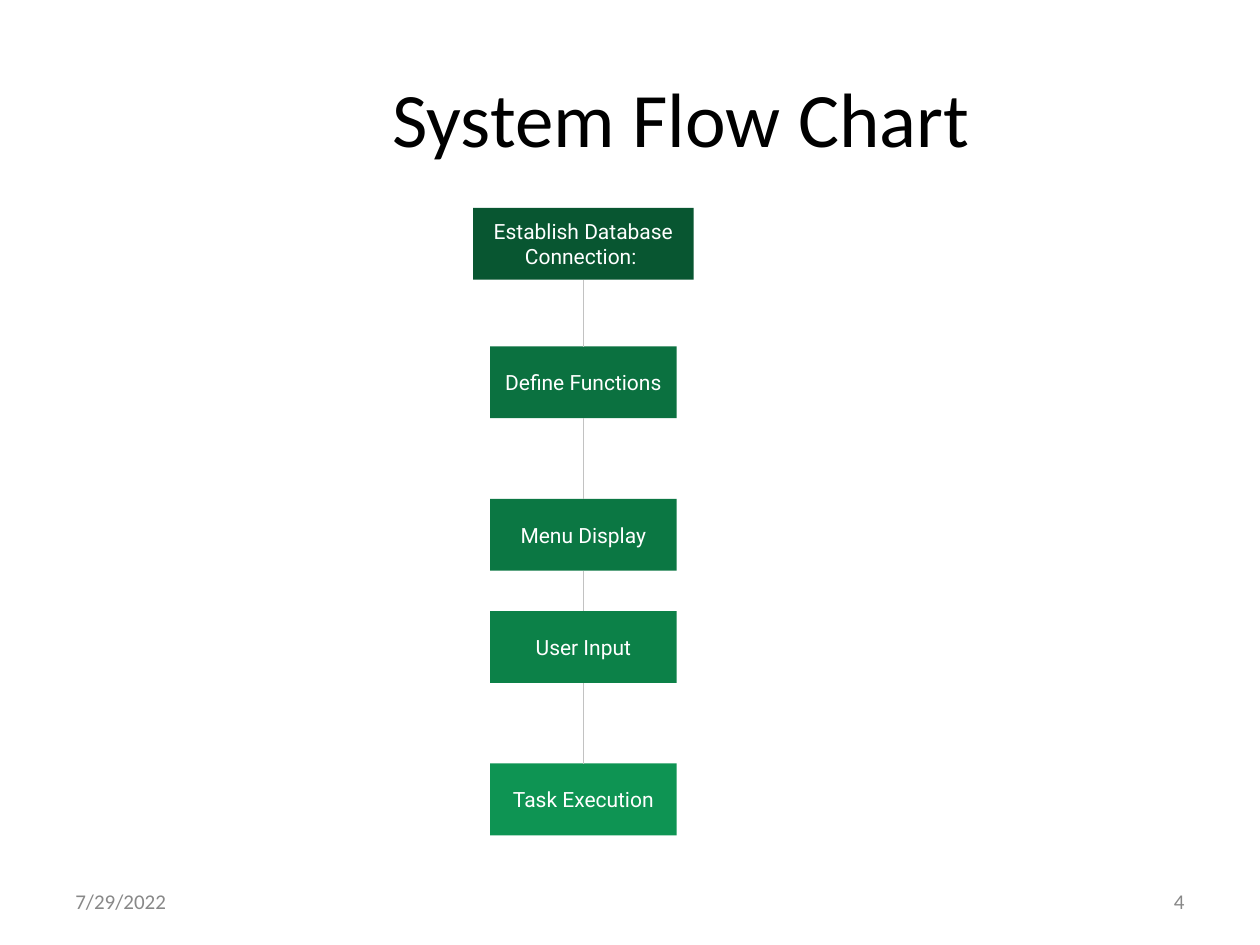
from itertools import pairwise

from lxml.etree import SubElement
from pptx import Presentation
from pptx.dml.color import RGBColor
from pptx.enum.shapes import MSO_CONNECTOR, MSO_SHAPE
from pptx.enum.text import MSO_ANCHOR, PP_ALIGN
from pptx.oxml.ns import qn
from pptx.util import Inches, Pt

MID = 4.63
STEPS = [
    ("Establish Database Connection: ", 1.65, 1.75, "085631"),
    ("Define Functions", 2.75, 1.48, "0B7140"),
    ("Menu Display", 3.96, 1.48, "0B7743"),
    ("User Input", 4.85, 1.48, "0C8148"),
    ("Task Execution", 6.06, 1.48, "0E9453"),
]


def tint(code):
    """Turn a hex string into a colour."""
    return RGBColor.from_string(code)


def write(shape, text, font="Calibri", size=12, color="888888",
          align=PP_ALIGN.LEFT, left=0.1, pad=0.05):
    """Set the text of a shape; left is the left inset, pad the top and bottom."""
    frame = shape.text_frame
    frame.word_wrap = True
    frame.vertical_anchor = MSO_ANCHOR.MIDDLE
    frame.margin_left, frame.margin_right = Inches(left), Inches(0.1)
    frame.margin_top = frame.margin_bottom = Inches(pad)
    para = frame.paragraphs[0]
    para.alignment = align
    run = para.add_run()
    run.text = text
    run.font.name, run.font.size = font, Pt(size)
    run.font.color.rgb = tint(color)


class Flow:
    """Holds the chart style and the current slide."""

    font = "Roboto"
    ink = "FFFFFF"
    wire = "C2C2C2"
    high = 0.57

    def __init__(self, slide):
        self.slide = slide

    def label(self, text, x, y, w, h, **style):
        area = [Inches(n) for n in (x, y, w, h)]
        write(self.slide.shapes.add_textbox(*area), text, **style)

    def step(self, text, top, wide, fill):
        box = self.slide.shapes.add_shape(
            MSO_SHAPE.RECTANGLE, Inches(MID - wide / 2), Inches(top),
            Inches(wide), Inches(self.high))
        box.shadow.inherit = False
        box.fill.solid()
        box.fill.fore_color.rgb = tint(fill)
        box.line.fill.background()
        write(box, text, font=self.font, color=self.ink,
              align=PP_ALIGN.CENTER, pad=0.1)
        return box

    def link(self, upper, lower):
        line = self.slide.shapes.add_connector(MSO_CONNECTOR.STRAIGHT, 0, 0, 0, 0)
        line.begin_connect(lower, 0)
        line.end_connect(upper, 2)
        line.line.color.rgb = tint(self.wire)
        line.line.width = Pt(0.75)
        SubElement(line._element.spPr, qn("a:effectLst"))


def main():
    deck = Presentation()
    deck.slide_width, deck.slide_height = Inches(10), Inches(7.5)
    flow = Flow(deck.slides.add_slide(deck.slide_layouts[6]))

    flow.label("System Flow Chart", 0.5, 0.3, 9, 1.25, size=44,
               color="000000", align=PP_ALIGN.CENTER, left=0.91)
    flow.label("7/29/2022", 0.5, 6.95, 2.33, 0.4)
    flow.label("4", 7.17, 6.95, 2.33, 0.4, align=PP_ALIGN.RIGHT)

    boxes = [flow.step(*step) for step in STEPS]
    for upper, lower in pairwise(boxes):
        flow.link(upper, lower)

    deck.save("out.pptx")


if __name__ == "__main__":
    main()
